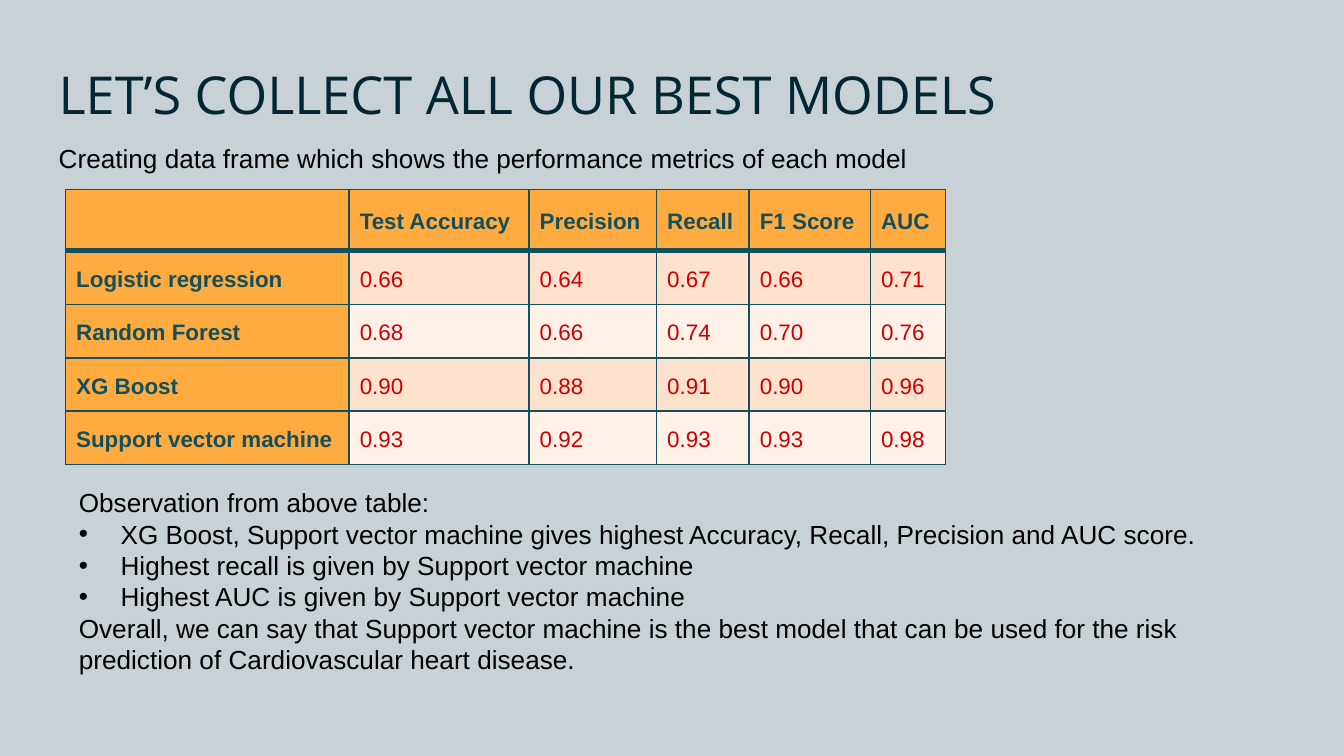
from lxml.etree import SubElement
from pptx import Presentation
from pptx.dml.color import RGBColor
from pptx.enum.text import MSO_ANCHOR
from pptx.oxml import parse_xml
from pptx.oxml.ns import nsdecls, qn
from pptx.util import Cm, Pt

INK, TEAL, RED, NAVY = "000000", "134F5C", "CC0000", "002732"
ORANGE, BANDS = "FFAB40", ("FFE2CD", "FFF1E8")
INDENT = Cm(0.79)

HEADS = ["", "Test Accuracy", "Precision", "Recall", "F1 Score", "AUC"]
MODELS = [
    ["Logistic regression", "0.66", "0.64", "0.67", "0.66", "0.71"],
    ["Random Forest", "0.68", "0.66", "0.74", "0.70", "0.76"],
    ["XG Boost", "0.90", "0.88", "0.91", "0.90", "0.96"],
    ["Support vector machine", "0.93", "0.92", "0.93", "0.93", "0.98"],
]
WIDTHS = [5.36, 3.4, 2.41, 1.75, 2.29, 1.42]
ROW = 1.01

# Each note is its text and whether it has a bullet
NOTES = [
    ("Observation from above table:", False),
    ("XG Boost, Support vector machine gives highest Accuracy, Recall, "
     "Precision and AUC score.", True),
    ("Highest recall is given by Support vector machine", True),
    ("Highest AUC is given by Support vector machine", True),
    ("Overall, we can say that Support vector machine is the best model "
     "that can be used for the risk prediction of Cardiovascular heart "
     "disease.", False),
]


def paint(item, color):
    """Give a fill or a font a solid colour."""
    if hasattr(item, "solid"):
        item.solid()
        item.fore_color.rgb = RGBColor.from_string(color)
    else:
        item.color.rgb = RGBColor.from_string(color)


def apply(item, style):
    for key, value in style.items():
        setattr(item, key, value)


def write(para, text, color, style):
    run = para.add_run()
    run.text = text
    apply(run.font, style)
    paint(run.font, color)


def bullet(para):
    props = para._p.get_or_add_pPr()
    props.set("marL", str(INDENT))
    props.set("indent", str(-INDENT))
    SubElement(props, qn("a:buFont"), typeface="Arial")
    SubElement(props, qn("a:buChar"), char="•")


def add_text(slide, place, lines, color, style, inset=0.13):
    box = slide.shapes.add_textbox(*(Cm(n) for n in place))
    frame = box.text_frame
    apply(frame, {
        "word_wrap": True,
        "margin_left": Cm(0.25), "margin_right": Cm(0.25),
        "margin_top": Cm(inset), "margin_bottom": Cm(inset),
    })
    for i, (text, dot) in enumerate(lines):
        para = frame.add_paragraph() if i else frame.paragraphs[0]
        write(para, text, color, style)
        if dot:
            bullet(para)


def add_edges(cell, widths):
    """Draw the left, right, top and bottom borders of a cell."""
    props = cell._tc.get_or_add_tcPr()
    for i, (side, width) in enumerate(zip("LRTB", widths)):
        props.insert(i, parse_xml(
            f'<a:ln{side} {nsdecls("a")} w="{Pt(width)}"><a:solidFill>'
            f'<a:srgbClr val="{TEAL}"/></a:solidFill></a:ln{side}>'))


def fill_cell(cell, text, r, c):
    label = r == 0 or c == 0
    apply(cell, {
        "vertical_anchor": MSO_ANCHOR.MIDDLE,
        "margin_left": Cm(0.2), "margin_right": Cm(0.2),
        "margin_top": Cm(0.2), "margin_bottom": Cm(0.2),
    })
    paint(cell.fill, ORANGE if label else BANDS[(r - 1) % 2])
    para = cell.text_frame.paragraphs[0]
    para.line_spacing = 1.15
    if text:
        write(para, text, TEAL if label else RED,
              {"name": "Arial", "size": Pt(12), "bold": label})
    # The rule under the header is thicker
    add_edges(cell, (1, 1, 3 if r == 1 else 1, 3 if r == 0 else 1))


def add_grid(slide, left, top, rows):
    table = slide.shapes.add_table(
        len(rows), len(WIDTHS), Cm(left), Cm(top),
        Cm(sum(WIDTHS)), Cm(ROW * len(rows))).table
    for col, width in zip(table.columns, WIDTHS):
        col.width = Cm(width)
    for r, row in enumerate(rows):
        table.rows[r].height = Cm(ROW)
        for c, text in enumerate(row):
            fill_cell(table.cell(r, c), text, r, c)


def main():
    deck = Presentation()
    apply(deck, {"slide_width": Cm(25.4), "slide_height": Cm(14.29)})
    slide = deck.slides.add_slide(deck.slide_layouts[6])
    paint(slide.background.fill, "C8D2D6")
    body = {"name": "Arial", "size": Pt(14)}

    # Title and lead
    add_text(slide, (0.86, 0.99, 23.67, 1.6),
             [("LET’S COLLECT ALL OUR BEST MODELS", False)],
             NAVY, {"name": "Open Sans", "size": Pt(28)}, 0.18)
    add_text(slide, (0.86, 2.57, 16.9, 0.86),
             [("Creating data frame which shows the performance metrics "
               "of each model", False)], INK, body)

    # Scores of the models
    add_grid(slide, 1.24, 3.58, [HEADS] + MODELS)

    # Findings
    add_text(slide, (1.24, 9.07, 22.91, 3.84), NOTES, INK, body)

    deck.save("out.pptx")


if __name__ == "__main__":
    main()
